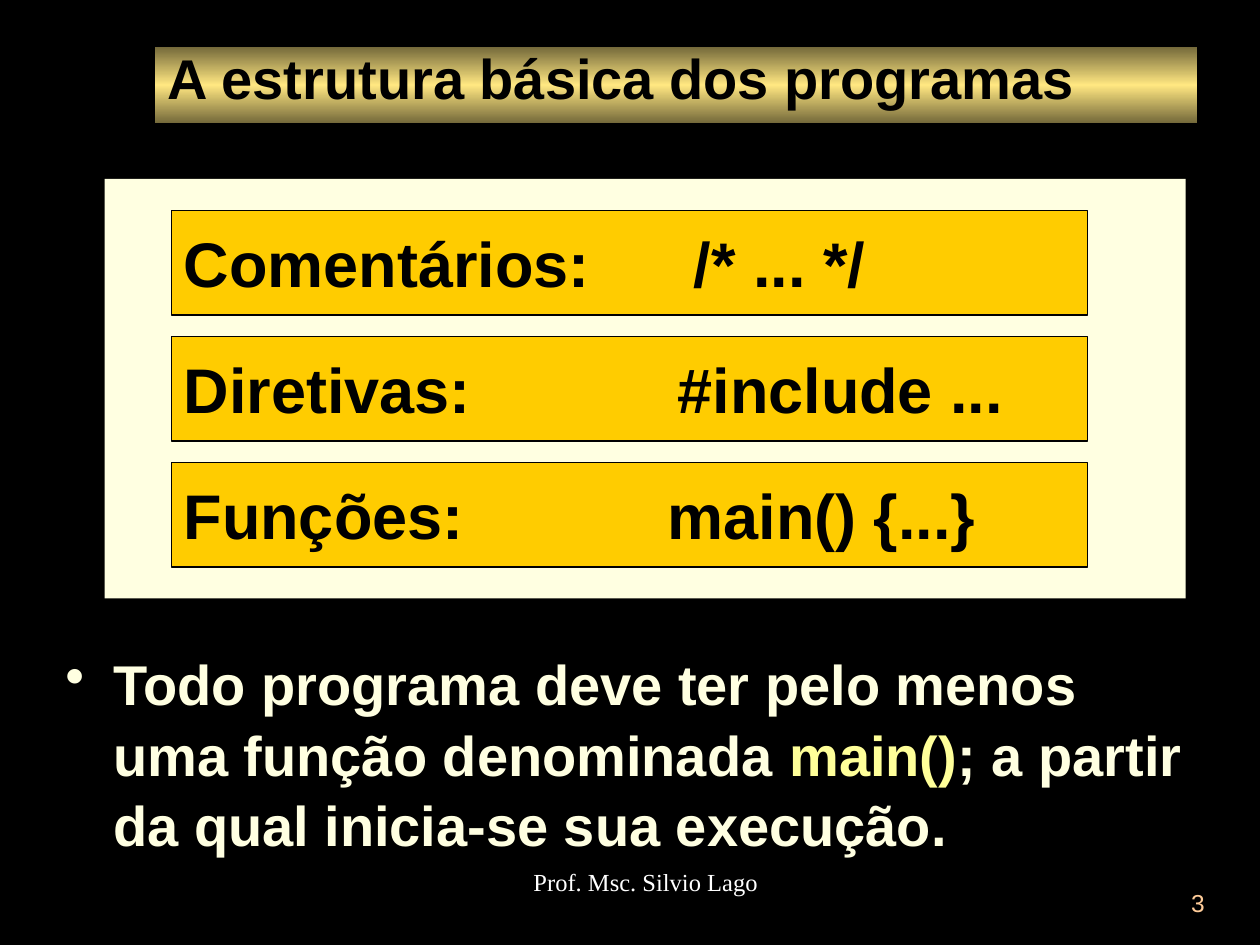
"""Build the slide on the basic structure of C programs."""
from copy import deepcopy
from dataclasses import dataclass

from lxml.etree import SubElement
from pptx import Presentation
from pptx.dml.color import RGBColor
from pptx.enum.shapes import MSO_SHAPE
from pptx.enum.text import MSO_ANCHOR, MSO_AUTO_SIZE, PP_ALIGN
from pptx.oxml.ns import qn
from pptx.util import Inches, Pt

HUES = {
    "black": "000000", "white": "FFFFFF", "cream": "FFFFE1", "gold": "FFCC00",
    "lemon": "FFFF99", "peach": "FFCC99", "bronze": "73683A", "shine": "FFE781",
}


@dataclass
class Font:
    size: float
    hue: str
    name: str = "Arial"
    bold: bool = False


@dataclass
class Part:
    label: str
    code: str
    stop: float


PARTS = [
    Part("Comentários:", "/* ... */", 4.05),
    Part("Diretivas:", "#include ...", 3.92),
    Part("Funções:", "main() {...}", 3.84),
]


def rgb(hue: str) -> RGBColor:
    return RGBColor.from_string(HUES[hue])


def add_run(para, text: str, font: Font) -> None:
    run = para.add_run()
    run.text = text
    run.font.size = Pt(font.size)
    run.font.name = font.name
    run.font.bold = font.bold
    run.font.color.rgb = rgb(font.hue)


def add_box(slide, left: float, top: float, width: float, height: float, fill: str):
    box = slide.shapes.add_shape(
        MSO_SHAPE.RECTANGLE, Inches(left), Inches(top), Inches(width), Inches(height))
    box.shadow.inherit = False
    box.fill.solid()
    box.fill.fore_color.rgb = rgb(fill)
    box.line.fill.background()
    return box


def add_text(slide, left: float, top: float, width: float, height: float, align):
    frame = slide.shapes.add_textbox(
        Inches(left), Inches(top), Inches(width), Inches(height)).text_frame
    frame.word_wrap = True
    para = frame.paragraphs[0]
    para.alignment = align
    return para


def set_title(slide, text: str) -> None:
    title = slide.shapes.title
    title.left, title.top = Inches(1.23), Inches(0.37)
    title.width, title.height = Inches(8.27), Inches(0.61)
    title.fill.gradient()
    title.fill.gradient_angle = 90
    stops = title._element.spPr.find(qn("a:gradFill")).find(qn("a:gsLst"))
    stops.insert(1, deepcopy(stops[0]))
    for rank, stop in enumerate(title.fill.gradient_stops):
        stop.position = rank / 2
        stop.color.rgb = rgb("shine" if rank == 1 else "bronze")
    frame = title.text_frame
    frame.auto_size = MSO_AUTO_SIZE.NONE
    frame.vertical_anchor = MSO_ANCHOR.MIDDLE
    frame.margin_top, frame.margin_bottom = 0, Inches(0.13)
    para = frame.paragraphs[0]
    para.alignment = PP_ALIGN.LEFT
    add_run(para, text, Font(32, "black", bold=True))


def add_part(slide, part: Part, top: float) -> None:
    box = add_box(slide, 1.36, top, 7.27, 0.83, "gold")
    box.line.color.rgb = rgb("black")
    box.line.width = Pt(0.75)
    frame = box.text_frame
    frame.vertical_anchor = MSO_ANCHOR.MIDDLE
    para = frame.paragraphs[0]
    para.alignment = PP_ALIGN.LEFT
    tabs = SubElement(para._p.get_or_add_pPr(), qn("a:tabLst"))
    SubElement(tabs, qn("a:tab"), pos=str(Inches(part.stop)), algn="l")
    add_run(para, f"{part.label}\t{part.code}", Font(36, "black", bold=True))


def add_point(slide) -> None:
    para = add_text(slide, 0.42, 5.08, 9.25, 1.75, PP_ALIGN.LEFT)
    para.line_spacing = 1.05
    props = para._p.get_or_add_pPr()
    props.set("marL", str(Inches(0.38)))
    props.set("indent", str(-Inches(0.38)))
    tint = SubElement(props, qn("a:buClr"))
    SubElement(tint, qn("a:srgbClr"), val=HUES["cream"])
    SubElement(props, qn("a:buChar"), char="•")
    plain = Font(32, "cream", bold=True)
    add_run(para, "Todo programa deve ter pelo menos uma função denominada ", plain)
    add_run(para, "main()", Font(32, "lemon", bold=True))
    add_run(para, "; a partir da qual inicia-se sua execução.", plain)


def main() -> None:
    deck = Presentation()
    deck.slide_width, deck.slide_height = Inches(10), Inches(7.5)
    slide = deck.slides.add_slide(deck.slide_layouts.get_by_name("Title Only"))
    slide.background.fill.solid()
    slide.background.fill.fore_color.rgb = rgb("black")
    set_title(slide, "A estrutura básica dos programas")
    add_point(slide)
    add_box(slide, 0.83, 1.42, 8.58, 3.33, "cream")
    for rank, part in enumerate(PARTS):
        add_part(slide, part, 1.67 + rank)
    foot = add_text(slide, 3.42, 6.83, 3.17, 0.5, PP_ALIGN.CENTER)
    foot._p.get_or_add_pPr().set("marL", str(Inches(0.24)))
    add_run(foot, "Prof. Msc. Silvio Lago", Font(14, "white", "Times New Roman"))
    page = add_text(slide, 7.58, 7, 2.08, 0.5, PP_ALIGN.RIGHT)
    add_run(page, "3", Font(14, "peach"))
    deck.save("out.pptx")


if __name__ == "__main__":
    main()
